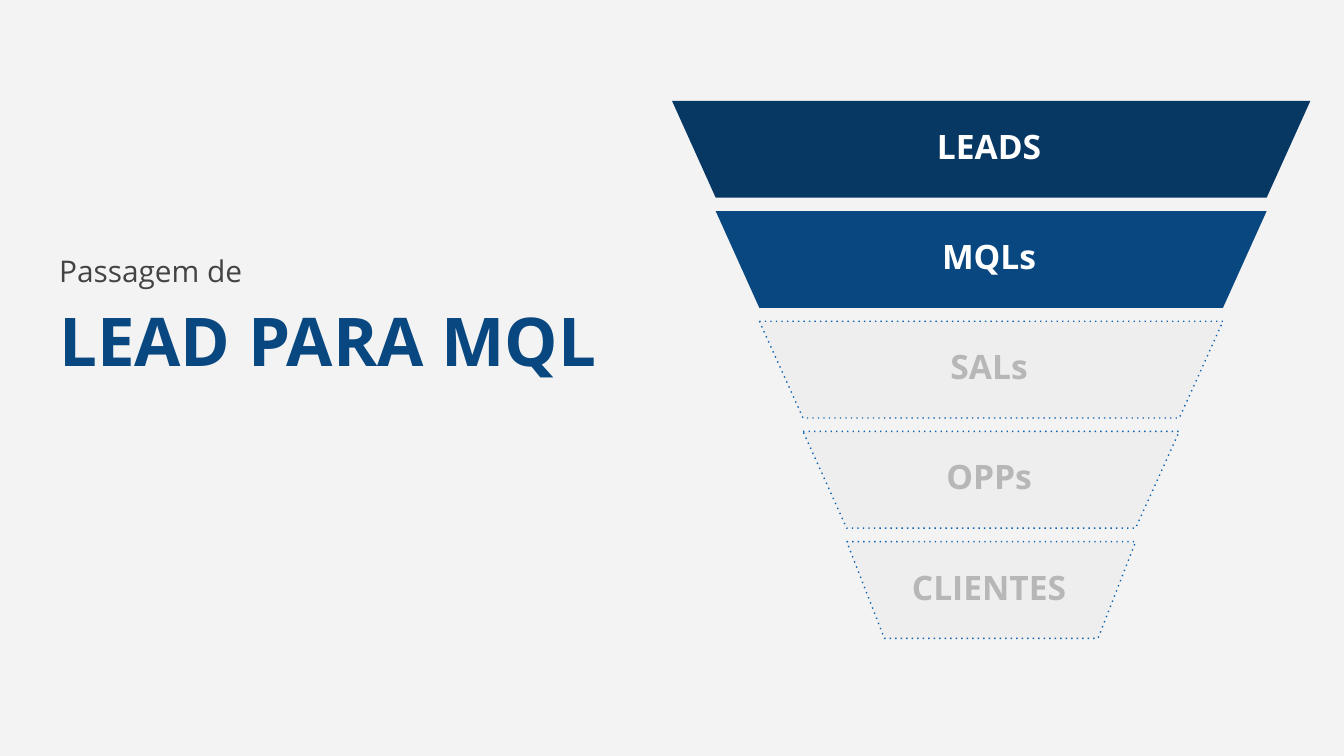
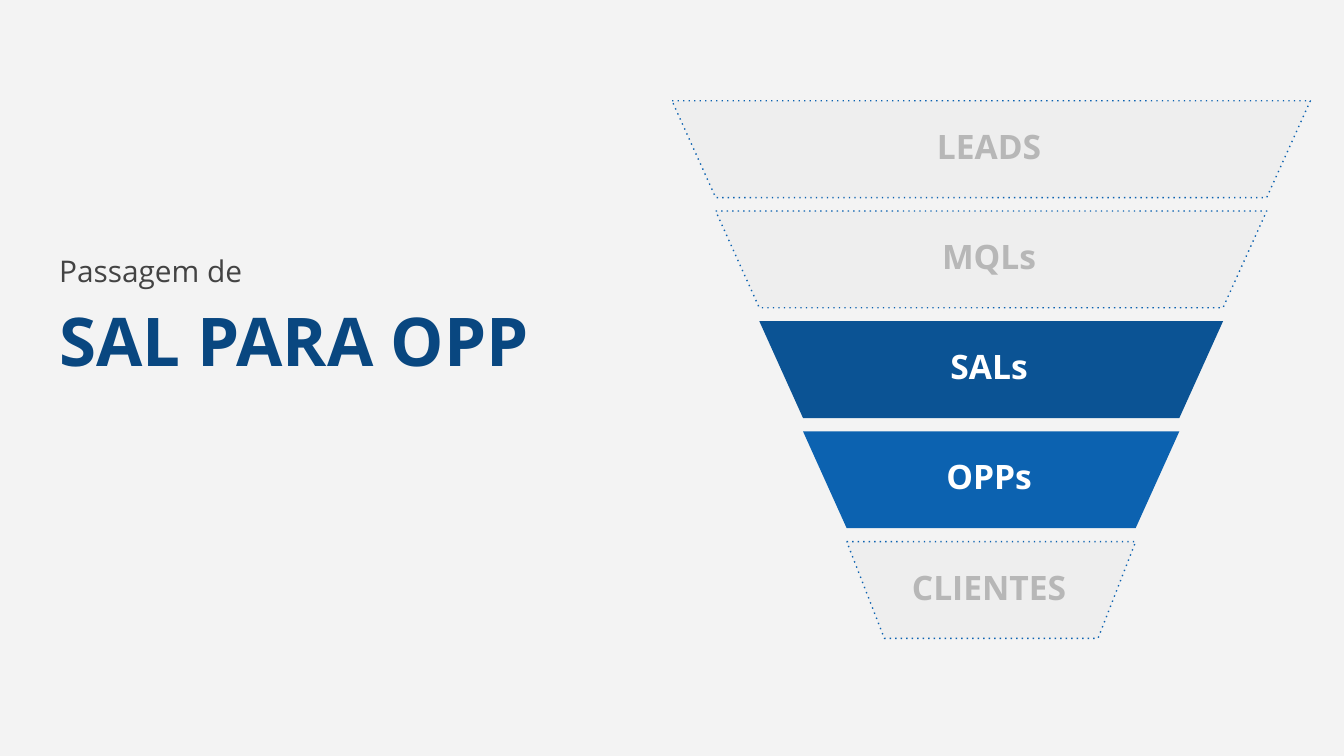
from dataclasses import dataclass

from pptx import Presentation
from pptx.dml.color import RGBColor
from pptx.enum.dml import MSO_LINE
from pptx.enum.text import MSO_ANCHOR, MSO_AUTO_SIZE, PP_ALIGN
from pptx.oxml.ns import qn
from pptx.util import Pt

PX = 4572
LEFT, CENTER = PP_ALIGN.LEFT, PP_ALIGN.CENTER
TOP, MIDDLE = MSO_ANCHOR.TOP, MSO_ANCHOR.MIDDLE
NO_FIT = MSO_AUTO_SIZE.NONE
DOTTED = MSO_LINE.ROUND_DOT


@dataclass(frozen=True)
class Theme:
    font: str = "Open Sans"
    background: str = "F3F3F3"
    title: str = "094780"
    subtitle: str = "434343"
    muted_fill: str = "EEEEEE"
    muted_line: str = "0C62B0"
    muted_text: str = "B7B7B7"
    active_text: str = "FFFFFF"
    title_size: int = 36
    subtitle_size: int = 16
    label_size: int = 18
    line_width: float = 0.75


STAGES = [
    ("LEADS", "073763"),
    ("MQLs", "094780"),
    ("SALs", "0B5394"),
    ("OPPs", "0C62B0"),
    ("CLIENTES", None),
]
SLIDES = [
    ("LEAD PARA MQL", {"LEADS", "MQLs"}),
    ("SAL PARA OPP", {"SALs", "OPPs"}),
]

FUNNEL_LEFT, FUNNEL_RIGHT, FUNNEL_TOP = 1000, 1950, 150
BAND_HEIGHT, BAND_PITCH = 144, 164
BAND_INSET, LAST_INSET = 65, 56
LABEL_CENTER, LABEL_WIDTH, LABEL_HEIGHT = 1472, 312, 134
TEXT_INSET = 20


class Deck:
    def __init__(self, theme):
        self.theme = theme
        self.prs = Presentation()
        self.prs.slide_width = 2000 * PX
        self.prs.slide_height = 1125 * PX
        fill = self.prs.slide_master.background.fill
        fill.solid()
        fill.fore_color.rgb = RGBColor.from_string(theme.background)
        self.slide = None

    def new_slide(self):
        self.slide = self.prs.slides.add_slide(self.prs.slide_layouts[0])

    def style_text(self, sp, text, size, color, bold, align, anchor):
        tf = sp.text_frame
        tf.text = text
        tf.word_wrap = True
        tf.auto_size = NO_FIT
        tf.vertical_anchor = anchor
        tf.margin_left = tf.margin_right = TEXT_INSET * PX
        tf.margin_top = tf.margin_bottom = TEXT_INSET * PX
        p = tf.paragraphs[0]
        p.alignment = align
        p.space_before = Pt(0)
        font = p.runs[0].font
        font.name = self.theme.font
        font.size = Pt(size)
        font.bold = bold
        font.color.rgb = RGBColor.from_string(color)

    def heading(self, index, text, top, height, size, color, bold):
        sp = self.slide.placeholders[index]
        sp.left, sp.top = 68 * PX, top * PX
        sp.width, sp.height = 932 * PX, height * PX
        self.style_text(sp, text, size, color, bold, LEFT, TOP)

    def title(self, text):
        t = self.theme
        self.heading(0, text, 426, 448, t.title_size, t.title, True)

    def subtitle(self, text):
        t = self.theme
        self.heading(1, text, 356, 90, t.subtitle_size, t.subtitle, False)

    def band(self, left, right, top, inset, fill, dotted):
        bottom = top + BAND_HEIGHT
        builder = self.slide.shapes.build_freeform(left, top, scale=PX)
        builder.add_line_segments(
            [(right, top), (right - inset, bottom), (left + inset, bottom)]
        )
        sp = builder.convert_to_shape()
        sp.shadow.inherit = False
        sp.fill.solid()
        sp.fill.fore_color.rgb = RGBColor.from_string(fill)
        if not dotted:
            sp.line.fill.background()
            return
        sp.line.color.rgb = RGBColor.from_string(self.theme.muted_line)
        sp.line.width = Pt(self.theme.line_width)
        sp.line.dash_style = DOTTED
        sp.element.find(".//" + qn("a:prstDash")).set("val", "dot")

    def label(self, text, top, color):
        sp = self.slide.shapes.add_textbox(
            (LABEL_CENTER - LABEL_WIDTH // 2) * PX,
            top * PX,
            LABEL_WIDTH * PX,
            LABEL_HEIGHT * PX,
        )
        size = self.theme.label_size
        self.style_text(sp, text, size, color, True, CENTER, MIDDLE)

    def funnel(self, active):
        t = self.theme
        for i, (name, color) in enumerate(STAGES):
            on = name in active
            top = FUNNEL_TOP + i * BAND_PITCH
            shift = i * BAND_INSET
            inset = LAST_INSET if i == len(STAGES) - 1 else BAND_INSET
            self.band(
                FUNNEL_LEFT + shift,
                FUNNEL_RIGHT - shift,
                top,
                inset,
                color if on else t.muted_fill,
                not on,
            )
            self.label(name, top, t.active_text if on else t.muted_text)


def main():
    deck = Deck(Theme())
    for title, active in SLIDES:
        deck.new_slide()
        deck.title(title)
        deck.subtitle("Passagem de")
        deck.funnel(active)
    deck.prs.save("out.pptx")


if __name__ == "__main__":
    main()
